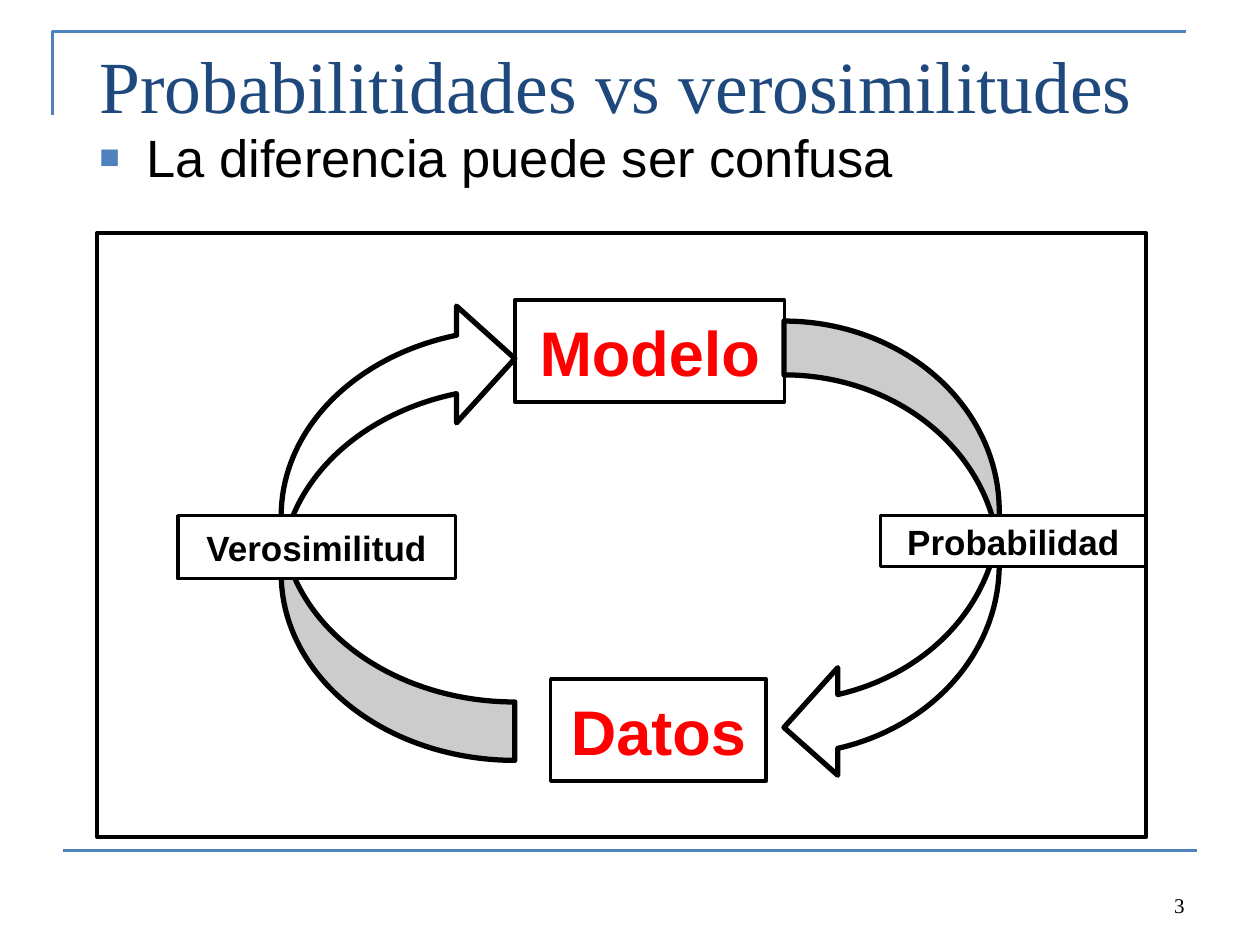
from dataclasses import dataclass
from typing import Optional

from lxml.etree import SubElement
from pptx import Presentation
from pptx.dml.color import RGBColor
from pptx.enum.shapes import MSO_CONNECTOR, MSO_SHAPE
from pptx.enum.text import MSO_ANCHOR as Anchor, PP_ALIGN as Align
from pptx.oxml import parse_xml
from pptx.oxml.ns import nsdecls, qn
from pptx.util import Pt

BLACK = RGBColor(0x00, 0x00, 0x00)
WHITE = RGBColor(0xFF, 0xFF, 0xFF)
RED = RGBColor(0xFF, 0x00, 0x00)
NAVY = RGBColor(0x1F, 0x49, 0x7D)
BLUE = RGBColor(0x4F, 0x81, 0xBD)
SANS, SERIF = "Arial", "Times New Roman"


@dataclass
class Box:
    left: float
    top: float
    width: float
    height: float

    def emu(self) -> tuple:
        return tuple(Pt(v) for v in (self.left, self.top, self.width, self.height))


@dataclass
class Node:
    box: Box
    text: str = ""
    size: float = 20
    color: RGBColor = BLACK
    fill: Optional[RGBColor] = None
    line: float = 2
    outlined: bool = False


@dataclass
class Arrow:
    box: Box
    rotation: float


@dataclass
class Label:
    box: Box
    text: str
    size: float
    font: str
    color: RGBColor
    top_inset: float = 3.6
    align: Align = Align.LEFT
    anchor: Anchor = Anchor.TOP


ARROWS = [
    Arrow(Box(448, 183.5, 123, 263), 0),
    Arrow(Box(160.7, 171.5, 133.5, 263), 180),
]
NODES = [
    Node(Box(294.3, 171.5, 154, 58.3), "Modelo", 36, RED),
    Node(Box(314.7, 388, 123, 58.3), "Datos", 36, RED),
    Node(Box(101.6, 294.7, 158.6, 36), "Verosimilitud", fill=WHITE, outlined=True),
    Node(Box(503.2, 294.7, 151.7, 29), "Probabilidad", fill=WHITE, outlined=True),
    Node(Box(55.4, 133.2, 599.6, 345), line=2.25),
]
TITLE = Label(Box(49.7, 15, 620.6, 104.4), "Probabilitidades vs verosimilitudes",
              42, SERIF, NAVY, top_inset=8)
BULLET = Label(Box(49.7, 65.5, 620.6, 89.3), "La diferencia puede ser confusa",
               30, SANS, BLACK, top_inset=6)
NUMBER = Label(Box(516, 492, 168, 36), "3", 12, SERIF, BLACK,
               align=Align.RIGHT, anchor=Anchor.BOTTOM)


def style_shape(sp, fill: Optional[RGBColor], color: RGBColor, width: float) -> None:
    sp.shadow.inherit = False
    if fill is None:
        sp.fill.background()
    else:
        sp.fill.solid()
        sp.fill.fore_color.rgb = fill
    sp.line.color.rgb = color
    sp.line.width = Pt(width)


def style_font(font, name: str, size: float, color: RGBColor, bold: bool = False) -> None:
    font.name, font.size, font.bold = name, Pt(size), bold
    font.color.rgb = color


def outline_run(r) -> None:
    """Give the letters of a run a thin black contour."""
    r.font._element.insert(0, parse_xml(
        f'<a:ln {nsdecls("a")} w="{Pt(0.75)}"><a:solidFill>'
        f'<a:srgbClr val="{BLACK}"/></a:solidFill></a:ln>'))


def add_frame_lines(s) -> None:
    builder = s.shapes.build_freeform(Pt(30), Pt(66))
    builder.add_line_segments([(Pt(30), Pt(18)), (Pt(678), Pt(18))], close=False)
    style_shape(builder.convert_to_shape(), None, BLUE, 1.5)

    rule = s.shapes.add_connector(MSO_CONNECTOR.STRAIGHT, Pt(36), Pt(486), Pt(684), Pt(486))
    rule.line.color.rgb = BLUE
    rule.line.width = Pt(1.5)
    SubElement(rule._element.spPr, qn("a:effectLst"))


def add_label(s, label: Label):
    tf = s.shapes.add_textbox(*label.box.emu()).text_frame
    tf.word_wrap = True
    tf.margin_top = Pt(label.top_inset)
    tf.vertical_anchor = label.anchor
    tf.text = label.text
    p = tf.paragraphs[0]
    p.alignment = label.align
    style_font(p.runs[0].font, label.font, label.size, label.color)
    return p


def add_square_bullet(p) -> None:
    pPr = p._p.get_or_add_pPr()
    pPr.set("marL", str(Pt(27)))
    pPr.set("indent", str(-Pt(27)))
    SubElement(SubElement(pPr, qn("a:buClr")), qn("a:srgbClr")).set("val", str(BLUE))
    SubElement(pPr, qn("a:buSzPct")).set("val", "65000")
    SubElement(pPr, qn("a:buFont")).set("typeface", SANS)
    SubElement(pPr, qn("a:buChar")).set("char", "■")


def add_arrow(s, arrow: Arrow) -> None:
    sp = s.shapes.add_shape(MSO_SHAPE.CURVED_LEFT_ARROW, *arrow.box.emu())
    sp.rotation = arrow.rotation
    style_shape(sp, WHITE, BLACK, 3)


def add_node(s, node: Node) -> None:
    sp = s.shapes.add_shape(MSO_SHAPE.RECTANGLE, *node.box.emu())
    style_shape(sp, node.fill, BLACK, node.line)
    if not node.text:
        return
    tf = sp.text_frame
    tf.vertical_anchor = Anchor.MIDDLE
    tf.text = node.text
    p = tf.paragraphs[0]
    p.alignment = Align.CENTER
    r = p.runs[0]
    style_font(r.font, SANS, node.size, node.color, bold=True)
    if node.outlined:
        outline_run(r)


def main() -> None:
    prs = Presentation()
    prs.slide_width, prs.slide_height = Pt(720), Pt(540)
    s = prs.slides.add_slide(prs.slide_layouts[6])
    add_frame_lines(s)
    add_label(s, TITLE)
    add_square_bullet(add_label(s, BULLET))
    for arrow in ARROWS:
        add_arrow(s, arrow)
    for node in NODES:
        add_node(s, node)
    add_label(s, NUMBER)
    prs.save("out.pptx")


if __name__ == "__main__":
    main()
